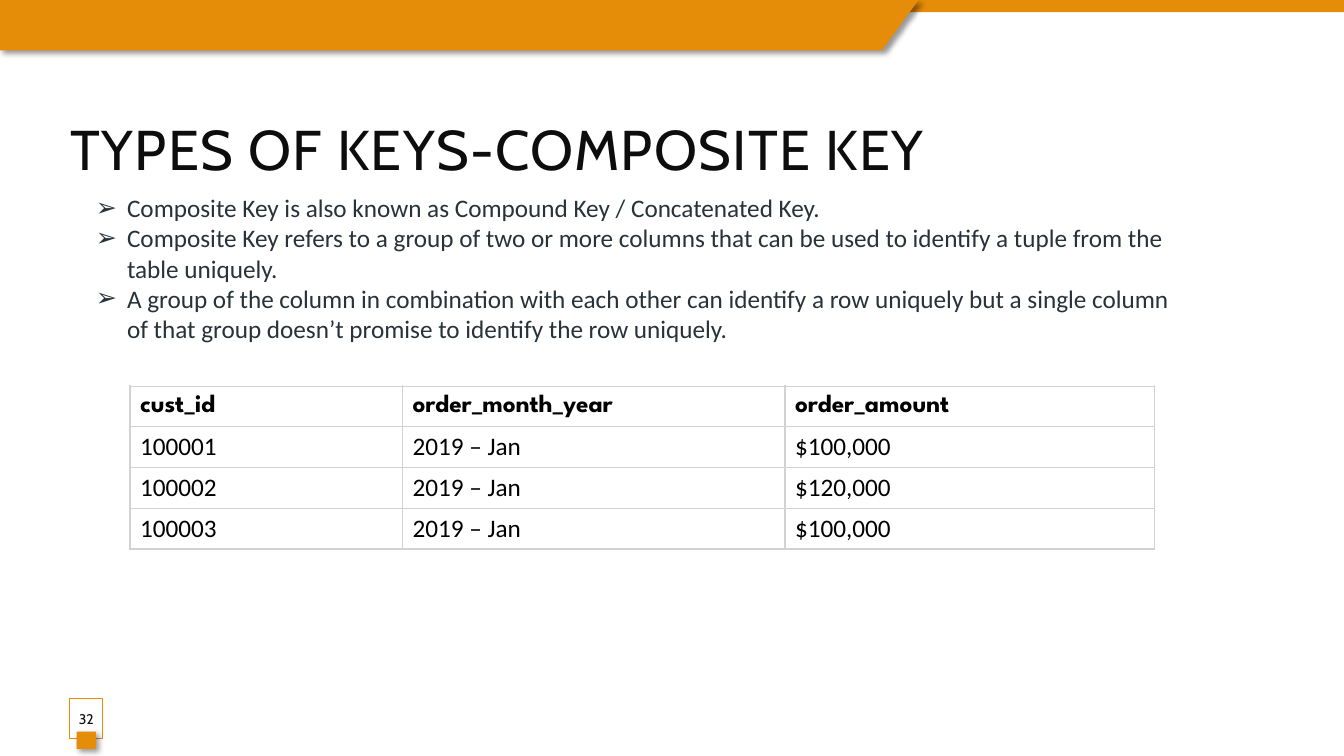
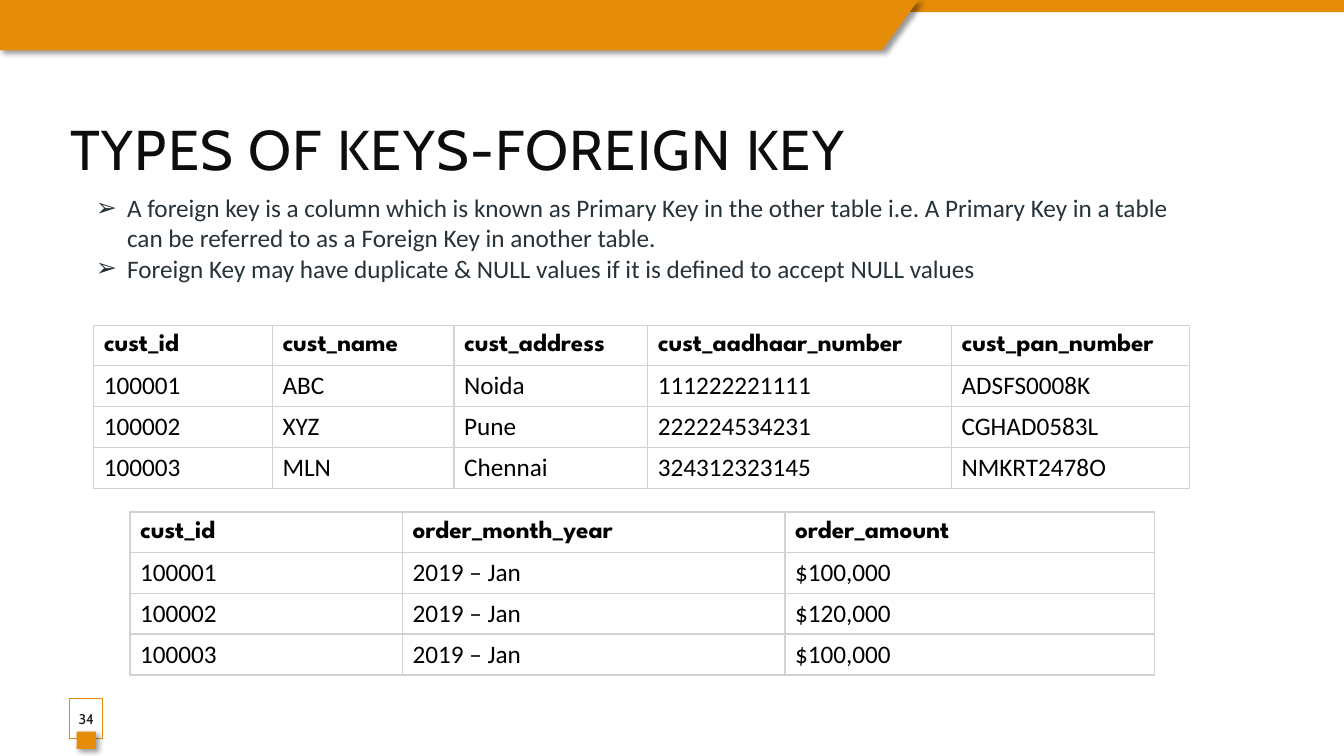
from collections import namedtuple

from lxml import etree
from pptx import Presentation
from pptx import util as u
from pptx.dml.color import RGBColor
from pptx.enum import shapes, text
from pptx.oxml.ns import qn

COLORS = {
    "accent": "E58C09",
    "title": "0D0D0D",
    "body": "273239",
    "cell": "000000",
    "border": "D2D2D2",
    "paper": "FFFFFF",
    "shadow": "000000",
}
FORMATS = {
    "title": {"name": "Cabin", "size": u.Pt(40), "bold": False},
    "page": {"name": "Cabin", "size": u.Pt(10), "bold": False},
    "body": {"name": "Calibri", "size": u.Pt(18), "bold": False},
    "header": {"name": "League Spartan", "size": u.Pt(18), "bold": True},
    "cell": {"name": "Calibri", "size": u.Pt(18), "bold": False},
}
WIDTH, HEIGHT = u.Inches(13.33), u.Inches(7.5)
Box = namedtuple("Box", "left top width height")
PAGE = Box(0, 0, WIDTH, HEIGHT)

ORDERS = {
    "weights": [2.7, 3.79, 3.66],
    "rows": [
        ["cust_id", "order_month_year", "order_amount"],
        ["100001", "2019 – Jan", "$100,000"],
        ["100002", "2019 – Jan", "$120,000"],
        ["100003", "2019 – Jan", "$100,000"],
    ],
}
CUSTOMERS = {
    "weights": [1.77, 1.8, 1.92, 3.01, 2.36],
    "rows": [
        ["cust_id", "cust_name", "cust_address", "cust_aadhaar_number", "cust_pan_number"],
        ["100001", "ABC", "Noida", "111222221111", "ADSFS0008K"],
        ["100002", "XYZ", "Pune", "222224534231", "CGHAD0583L"],
        ["100003", "MLN", "Chennai", "324312323145", "NMKRT2478O"],
    ],
}


def share(box, left, top, width, height):
    return Box(
        int(box.left + box.width * left / 100),
        int(box.top + box.height * top / 100),
        int(box.width * width / 100),
        int(box.height * height / 100),
    )


def color(name):
    return RGBColor.from_string(COLORS[name])


def add_node(parent, tag, **attributes):
    return etree.SubElement(parent, qn(tag), attributes)


def format_font(font, style, color_name):
    for name, value in FORMATS[style].items():
        setattr(font, name, value)
    font.color.rgb = color(color_name)


def paint(shape, fill, line=None):
    shape.shadow.inherit = False
    shape.fill.solid()
    shape.fill.fore_color.rgb = color(fill)
    if line:
        shape.line.color.rgb = color(line)
        shape.line.width = u.Pt(0.75)
    else:
        shape.line.fill.background()


def cast_shadow(shape):
    effects = next(shape.element.iter(qn("a:effectLst")))
    shadow = add_node(effects, "a:outerShdw", blurRad=str(u.Pt(4)), dist=str(u.Pt(3)),
                      dir="2700000", algn="tl", rotWithShape="0")
    tone = add_node(shadow, "a:srgbClr", val=COLORS["shadow"])
    add_node(tone, "a:alpha", val="40000")


def place(shape, box):
    for name, value in box._asdict().items():
        setattr(shape, name, value)


def add_bands(slide, box):
    strip = slide.shapes.add_shape(shapes.MSO_SHAPE.RECTANGLE, *share(box, 0, 0, 100, 1.6))
    paint(strip, "accent")
    tab = share(box, 0, 0, 68.34, 6.67)
    slant = int(tab.width * 0.96)
    builder = slide.shapes.build_freeform(tab.left, tab.top)
    builder.add_line_segments([
        (tab.left + tab.width, tab.top),
        (tab.left + slant, tab.top + tab.height),
        (tab.left, tab.top + tab.height),
    ])
    band = builder.convert_to_shape()
    paint(band, "accent")
    cast_shadow(band)


def add_title(slide, box, wording):
    title = slide.shapes.title
    place(title, box)
    frame = title.text_frame
    frame.text = wording
    frame.auto_size = text.MSO_AUTO_SIZE.NONE
    frame.vertical_anchor = text.MSO_ANCHOR.MIDDLE
    paragraph = frame.paragraphs[0]
    paragraph.alignment = text.PP_ALIGN.LEFT
    format_font(paragraph.runs[0].font, "title", "title")
    for properties in title.element.iter(qn("a:rPr")):
        properties.set("spc", "100")


def add_bullets(slide, box, items):
    body = slide.placeholders[1]
    place(body, box)
    frame = body.text_frame
    frame.text = "\n".join(items)
    frame.auto_size = text.MSO_AUTO_SIZE.NONE
    frame.vertical_anchor = text.MSO_ANCHOR.TOP
    for paragraph in frame.paragraphs:
        paragraph.alignment = text.PP_ALIGN.LEFT
        paragraph.line_spacing = 1.0
        paragraph.space_before = paragraph.space_after = u.Pt(0)
        format_font(paragraph.runs[0].font, "body", "body")
    indent = u.Inches(0.31)
    for properties in body.element.iter(qn("a:pPr")):
        properties.set("marL", str(indent))
        properties.set("indent", str(-indent))
        add_node(properties, "a:buFont", typeface=FORMATS["body"]["name"])
        add_node(properties, "a:buChar", char="➢")


def add_page_number(slide, box, number):
    badge = slide.shapes.add_shape(shapes.MSO_SHAPE.RECTANGLE, *box)
    paint(badge, "paper", "accent")
    fill_tone = next(badge.element.iter(qn("a:srgbClr")))
    add_node(fill_tone, "a:alpha", val="82000")
    frame = badge.text_frame
    frame.text = str(number)
    frame.margin_left = frame.margin_right = 0
    frame.vertical_anchor = text.MSO_ANCHOR.MIDDLE
    paragraph = frame.paragraphs[0]
    paragraph.alignment = text.PP_ALIGN.CENTER
    format_font(paragraph.runs[0].font, "page", "title")
    marker = slide.shapes.add_shape(shapes.MSO_SHAPE.RECTANGLE, *share(box, 21, 82, 58, 43))
    paint(marker, "accent")
    cast_shadow(marker)


def draw_borders(properties):
    for position, side in enumerate(["a:lnL", "a:lnR", "a:lnT", "a:lnB"]):
        line = etree.Element(qn(side), {"w": str(u.Pt(1))})
        add_node(add_node(line, "a:solidFill"), "a:srgbClr", val=COLORS["border"])
        properties.insert(position, line)


def add_grid(slide, box, data):
    rows, weights = data["rows"], data["weights"]
    holder = slide.shapes.add_table(len(rows), len(weights), *box)
    table = holder.table
    table.first_row = table.horz_banding = False
    for column, weight in zip(table.columns, weights):
        column.width = int(box.width * weight / sum(weights))
    for row_index, row in enumerate(rows):
        for column_index, wording in enumerate(row):
            cell = table.cell(row_index, column_index)
            cell.text = wording
            cell.vertical_anchor = text.MSO_ANCHOR.MIDDLE
            cell.fill.solid()
            cell.fill.fore_color.rgb = color("paper")
            run = cell.text_frame.paragraphs[0].runs[0]
            format_font(run.font, "cell" if row_index else "header", "cell")
    for properties in holder.element.iter(qn("a:tcPr")):
        draw_borders(properties)


def add_key_slide(presentation, number, title, items, body_height, grids):
    slide = presentation.slides.add_slide(presentation.slide_layouts[1])
    add_bands(slide, PAGE)
    add_title(slide, share(PAGE, 4.5, 14.4, 88.67, 10.27), title)
    add_page_number(slide, share(PAGE, 5.18, 92.4, 2.48, 5.33), number)
    add_bullets(slide, share(PAGE, 6.38, 24.8, 82.67, body_height), items)
    for data, left, top, width in grids:
        add_grid(slide, share(PAGE, left, top, width, 21.33), data)


def main():
    presentation = Presentation()
    presentation.slide_width, presentation.slide_height = WIDTH, HEIGHT
    add_key_slide(
        presentation, 32, "TYPES OF KEYS-COMPOSITE KEY",
        [
            "Composite Key is also known as Compound Key / Concatenated Key.",
            "Composite Key refers to a group of two or more columns that can be used to "
            "identify a tuple from the table uniquely.",
            "A group of the column in combination with each other can identify a row uniquely "
            "but a single column of that group doesn’t promise to identify the row uniquely.",
        ],
        25.6, [(ORDERS, 9.68, 51.07, 76.22)],
    )
    add_key_slide(
        presentation, 34, "TYPES OF KEYS-FOREIGN KEY",
        [
            "A foreign key is a column which is known as Primary Key in the other table i.e. "
            "A Primary Key in a table can be referred to as a Foreign Key in another table.",
            "Foreign Key may have duplicate & NULL values if it is defined to accept NULL values",
        ],
        21.6, [(ORDERS, 9.68, 67.73, 76.22), (CUSTOMERS, 6.98, 43.07, 81.55)],
    )
    presentation.save("out.pptx")


if __name__ == "__main__":
    main()
